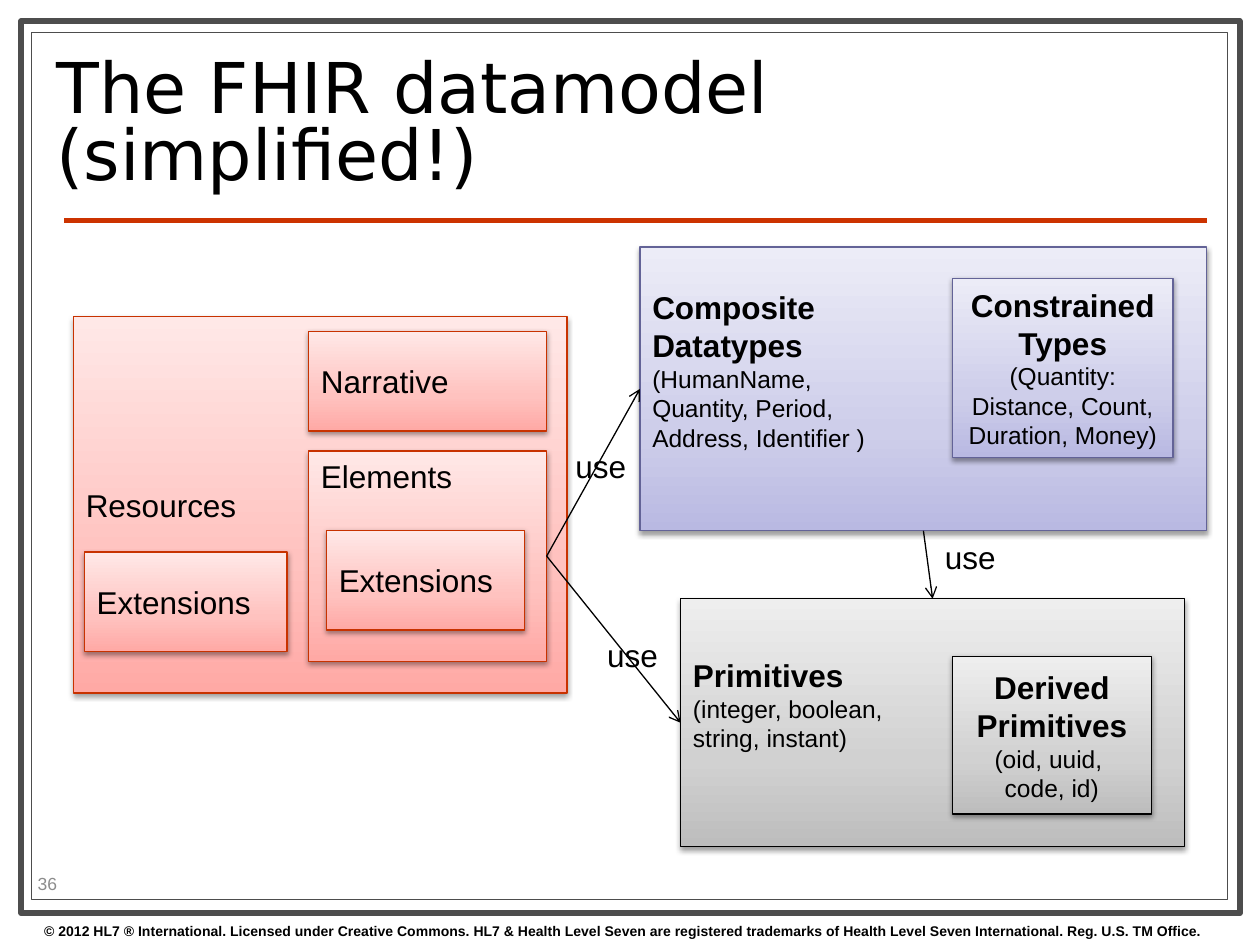
from copy import deepcopy

from pptx import Presentation
from pptx.dml.color import RGBColor
from pptx.enum.shapes import MSO_CONNECTOR, MSO_SHAPE
from pptx.enum.text import MSO_ANCHOR, MSO_AUTO_SIZE, PP_ALIGN
from pptx.oxml import parse_xml
from pptx.oxml.ns import nsdecls, qn
from pptx.util import Cm, Pt

RECTANGLE = MSO_SHAPE.RECTANGLE
STRAIGHT = MSO_CONNECTOR.STRAIGHT
TOP, MIDDLE = MSO_ANCHOR.TOP, MSO_ANCHOR.MIDDLE
LEFT, CENTER = PP_ALIGN.LEFT, PP_ALIGN.CENTER
SITE_TOP, SITE_LEFT, SITE_BOTTOM, SITE_RIGHT = range(4)

BLACK = RGBColor(0x00, 0x00, 0x00)
WHITE = RGBColor(0xFF, 0xFF, 0xFF)
FRAME_GRAY = RGBColor(0x4D, 0x4D, 0x4D)
NUMBER_GRAY = RGBColor(0x8C, 0x8C, 0x8C)
RULE_RED = RGBColor(0xCC, 0x33, 0x00)

# Outline, then the gradient colours from bottom to top
RED = (RGBColor(0xC8, 0x32, 0x00), RGBColor(0xFF, 0xA9, 0xA5),
       RGBColor(0xFF, 0xC2, 0xBF), RGBColor(0xFF, 0xE8, 0xE7))
GRAY = (BLACK, RGBColor(0xBD, 0xBD, 0xBD),
        RGBColor(0xD1, 0xD1, 0xD1), RGBColor(0xEE, 0xEE, 0xEE))
PURPLE = (RGBColor(0x63, 0x63, 0x97), RGBColor(0xB9, 0xB9, 0xE2),
          RGBColor(0xCE, 0xCE, 0xEA), RGBColor(0xEC, 0xEC, 0xF7))
STOP_POSITIONS = (0, 0.35, 1)

SHADOW = (
    f'<a:outerShdw {nsdecls("a")} blurRad="39400" dist="20300" dir="5400000" '
    'rotWithShape="0"><a:srgbClr val="000000"><a:alpha val="38000"/>'
    '</a:srgbClr></a:outerShdw>'
)
RAISED_TEXT_MARGIN = Cm(0.87)


def format_paragraph(paragraph, text, size, bold=False, color=BLACK,
                     font_name="Arial", align=LEFT):
    paragraph.text = text
    paragraph.alignment = align
    font = paragraph.font
    font.name, font.size, font.bold = font_name, Pt(size), bold
    font.color.rgb = color


def add_frame(slide, left, top, width, height, line_width):
    frame = slide.shapes.add_shape(RECTANGLE, Cm(left), Cm(top), Cm(width), Cm(height))
    frame.shadow.inherit = False
    frame.fill.solid()
    frame.fill.fore_color.rgb = WHITE
    frame.line.color.rgb = FRAME_GRAY
    frame.line.width = Pt(line_width)


def add_label(slide, text, left, top, width, height, size, wrap=True,
              anchor=TOP, **style):
    label = slide.shapes.add_textbox(Cm(left), Cm(top), Cm(width), Cm(height))
    frame = label.text_frame
    frame.word_wrap = wrap
    frame.vertical_anchor = anchor
    format_paragraph(frame.paragraphs[0], text, size, **style)


def fill_gradient(shape, colors):
    shape.fill.gradient()
    shape.fill.gradient_angle = 90
    first_stop = shape._element.spPr.find(".//" + qn("a:gs"))
    first_stop.addnext(deepcopy(first_stop))
    for stop, position, color in zip(shape.fill.gradient_stops, STOP_POSITIONS, colors):
        stop.position = position
        stop.color.rgb = color


def add_box(slide, theme, left, top, width, height, heading, details=None,
            align=LEFT, anchor=MIDDLE):
    """Add a shaded box; a heading with details below it is bold."""
    box = slide.shapes.add_shape(RECTANGLE, Cm(left), Cm(top), Cm(width), Cm(height))
    outline, *colors = theme
    fill_gradient(box, colors)
    box.line.color.rgb = outline
    box.line.width = Pt(0.75)
    box.shadow.inherit = False
    box._element.spPr.find(qn("a:effectLst")).append(parse_xml(SHADOW))

    frame = box.text_frame
    frame.word_wrap = True
    frame.vertical_anchor = anchor
    format_paragraph(frame.paragraphs[0], heading, 18, bold=bool(details), align=align)
    if details:
        format_paragraph(frame.add_paragraph(), details, 14, align=align)
    return box


def add_line(slide, start, end, color, width):
    line = slide.shapes.add_connector(STRAIGHT, *(Cm(value) for value in start + end))
    line.line.color.rgb = color
    line.line.width = Pt(width)
    line._element.spPr.append(parse_xml(f'<a:effectLst {nsdecls("a")}/>'))
    return line


def add_arrow(slide, source, source_site, target, target_site):
    arrow = add_line(slide, (0, 0), (0, 0), BLACK, 0.75)
    arrow.begin_connect(source, source_site)
    arrow.end_connect(target, target_site)
    arrow._element.spPr.find(qn("a:ln")).append(
        parse_xml(f'<a:tailEnd {nsdecls("a")} type="arrow"/>'))


def add_title(slide, text):
    title = slide.shapes.title
    title.left, title.top, title.width, title.height = Cm(0.89), Cm(0.91), Cm(18.21), Cm(3.28)
    frame = title.text_frame
    frame.auto_size = MSO_AUTO_SIZE.NONE
    frame.word_wrap = True
    frame.vertical_anchor = MIDDLE
    format_paragraph(frame.paragraphs[0], text, 40, font_name="DejaVu Sans")
    frame.paragraphs[0].line_spacing = 0.8
    # Bring the title in front of the page frames
    slide.shapes._spTree.append(title._element)


def add_page_furniture(slide):
    add_frame(slide, 0.43, 0.43, 24.56, 17.98, 3.5)
    add_frame(slide, 0.64, 0.66, 24.1, 17.48, 0.75)
    add_line(slide, (1.3, 4.45), (24.33, 4.45), RULE_RED, 3)
    add_label(slide, "© 2012 HL7 ® International. Licensed under Creative Commons. "
              "HL7 & Health Level Seven are registered trademarks of Health Level "
              "Seven International. Reg. U.S. TM Office.",
              0.64, 18.47, 25.4, 0.58, 8, bold=True)
    add_label(slide, "36", 0.51, 17.5, 2.01, 0.61, 10, anchor=MIDDLE, color=NUMBER_GRAY)


def add_datamodel(slide):
    add_box(slide, RED, 1.48, 6.38, 9.95, 7.59, "Resources")
    add_box(slide, RED, 6.22, 6.68, 4.8, 2.01, "Narrative")
    elements = add_box(slide, RED, 6.22, 9.09, 4.8, 4.24, "Elements", anchor=TOP)
    add_box(slide, RED, 6.58, 10.69, 3.99, 2.01, "Extensions")
    add_box(slide, RED, 1.7, 11.13, 4.09, 2.01, "Extensions")

    primitives = add_box(slide, GRAY, 13.72, 12.07, 10.16, 5, "Primitives",
                         "(integer, boolean,\vstring, instant)")
    add_box(slide, GRAY, 19.2, 13.23, 4.01, 3.18, "Derived Primitives",
            "(oid, uuid, \vcode, id)", align=CENTER)

    composites = add_box(slide, PURPLE, 12.9, 4.98, 11.43, 5.72, "Composite\vDatatypes",
                         "(HumanName, \vQuantity, Period,\vAddress, Identifier )")
    add_box(slide, PURPLE, 19.2, 5.61, 4.45, 3.61, "Constrained Types",
            "(Quantity: Distance, Count, Duration, Money)", align=CENTER)

    for datatypes in (primitives, composites):
        datatypes.text_frame.margin_bottom = RAISED_TEXT_MARGIN

    add_arrow(slide, elements, SITE_RIGHT, composites, SITE_LEFT)
    add_arrow(slide, elements, SITE_RIGHT, primitives, SITE_LEFT)
    add_arrow(slide, composites, SITE_BOTTOM, primitives, SITE_TOP)
    for left, top in ((11.35, 8.89), (11.99, 12.7), (18.8, 10.72)):
        add_label(slide, "use", left, top, 1.55, 1.02, 18, wrap=False)


def main():
    presentation = Presentation()
    presentation.slide_width, presentation.slide_height = Cm(25.4), Cm(19.05)
    slide = presentation.slides.add_slide(presentation.slide_layouts[5])
    add_page_furniture(slide)
    add_title(slide, "The FHIR datamodel (simplified!)")
    add_datamodel(slide)
    presentation.save("out.pptx")


if __name__ == "__main__":
    main()
